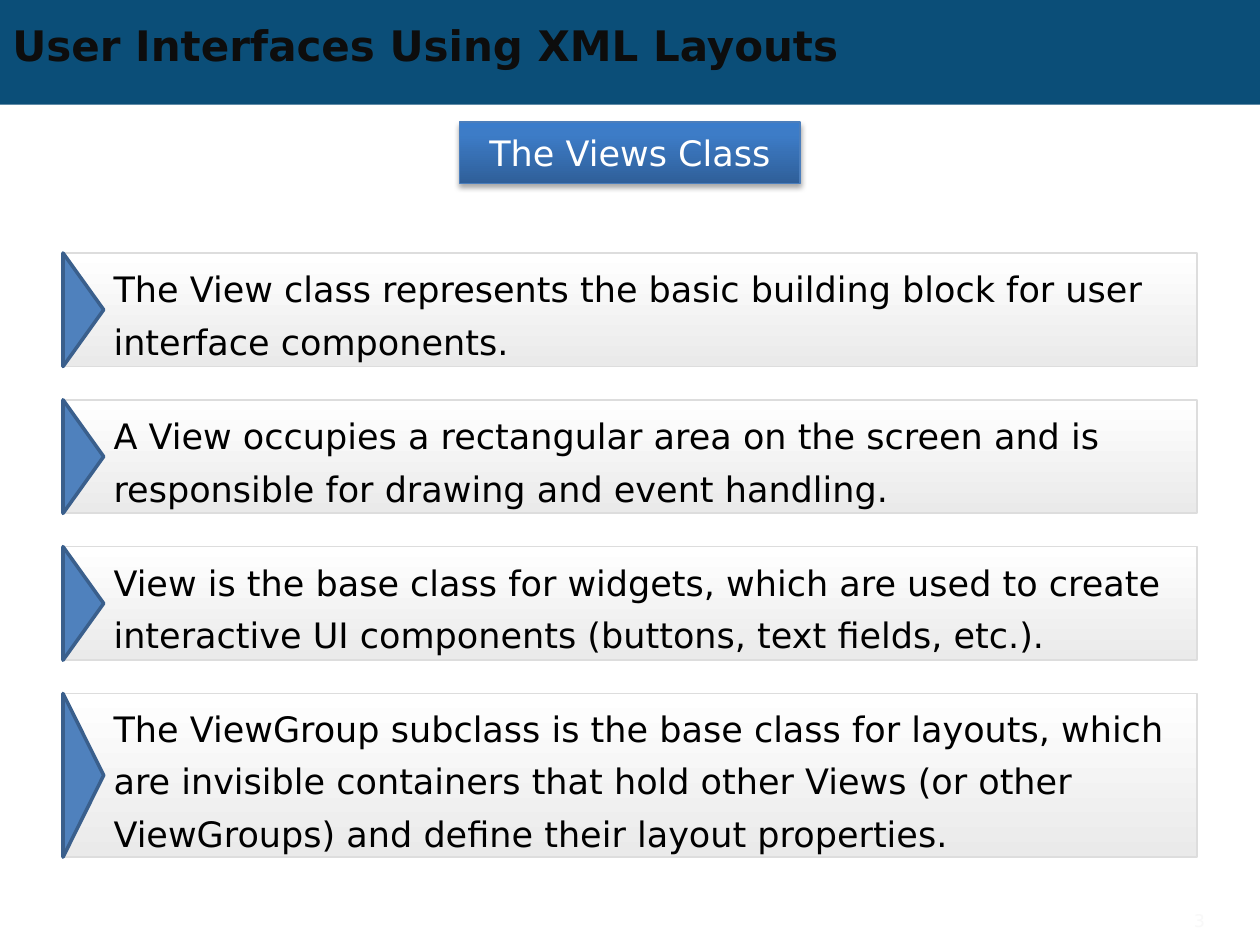
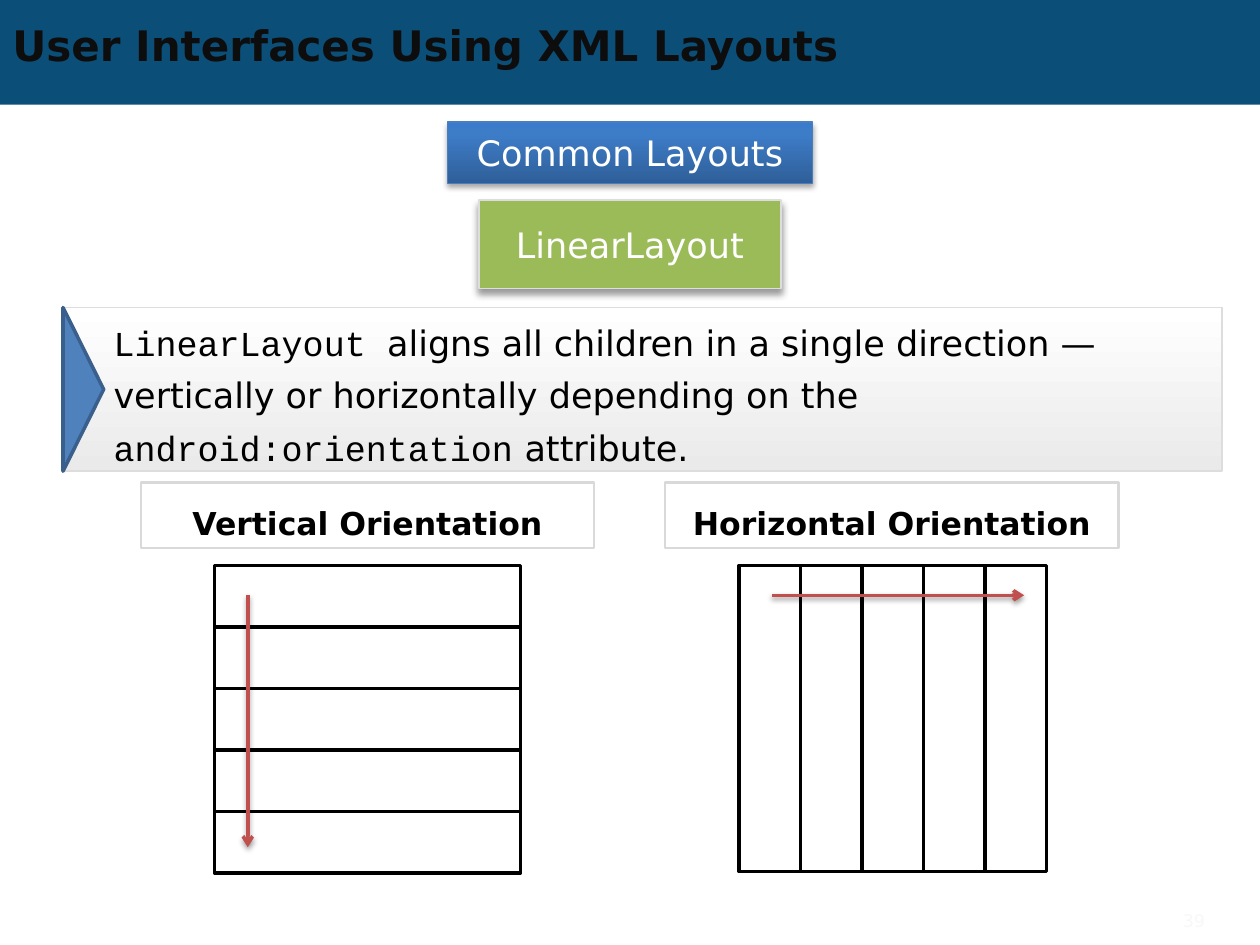
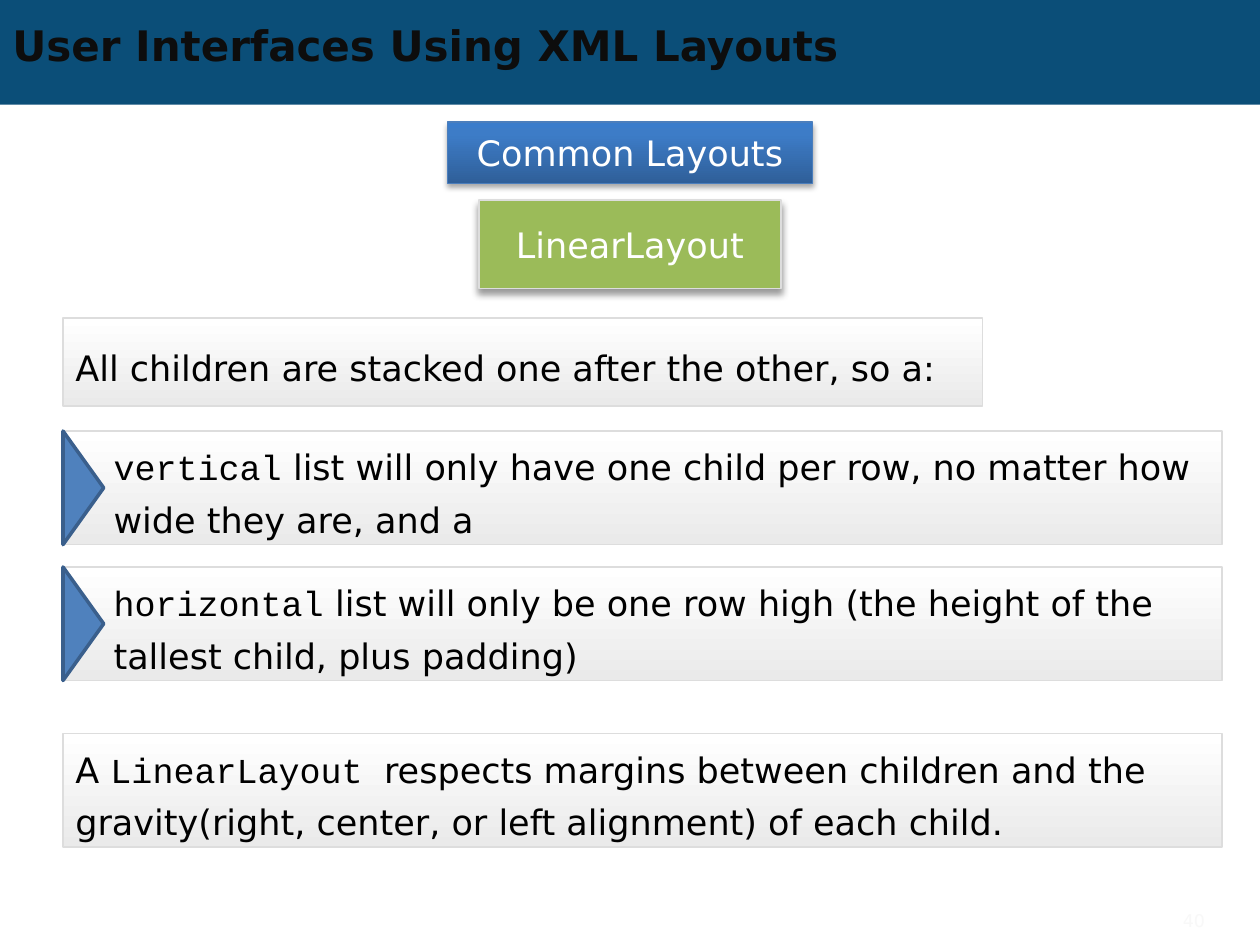
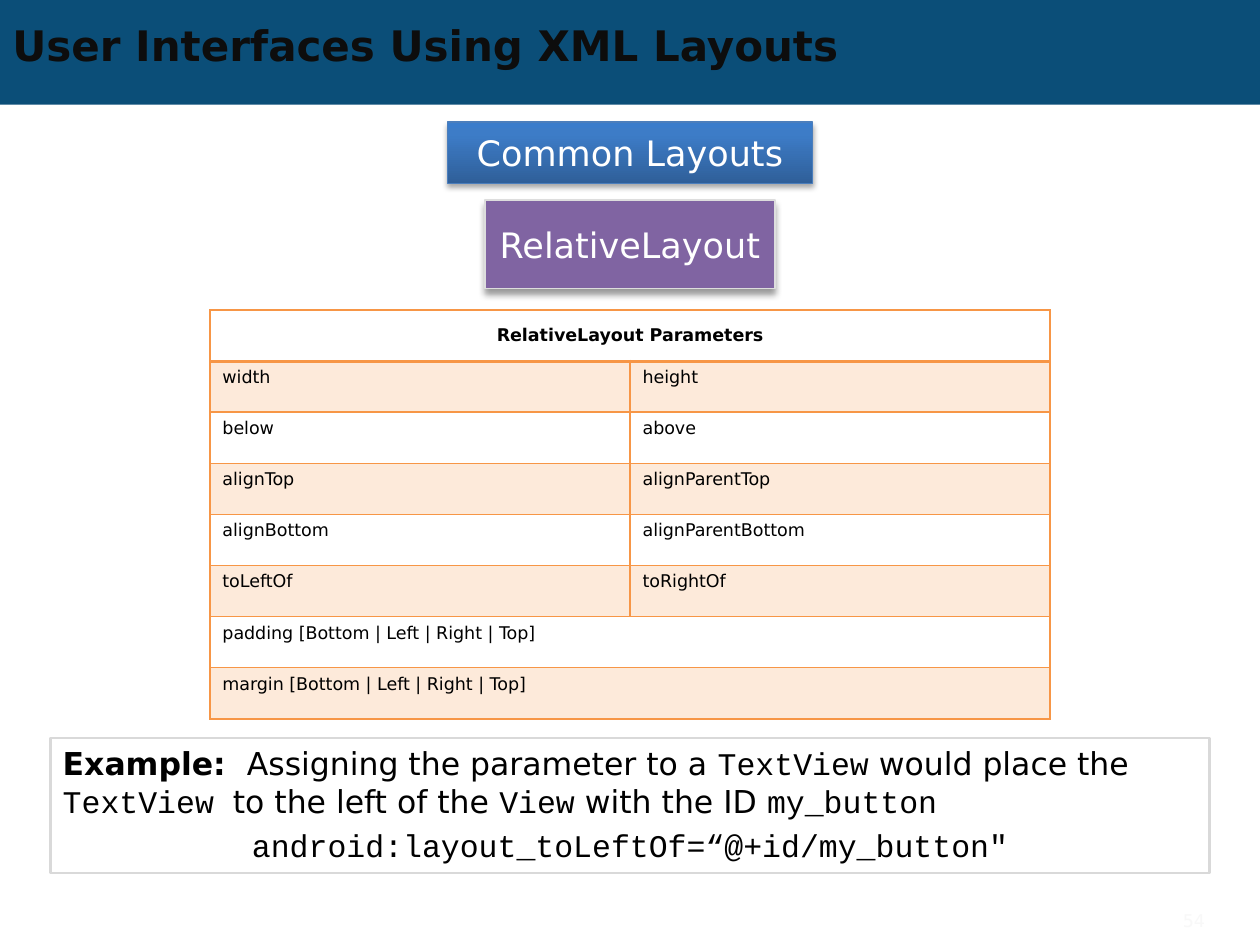
from collections import namedtuple

from lxml.etree import SubElement
from pptx import Presentation
from pptx.dml.color import RGBColor
from pptx.enum.shapes import MSO_CONNECTOR, MSO_SHAPE
from pptx.enum.text import MSO_ANCHOR as ANCHOR, PP_ALIGN as ALIGN
from pptx.oxml.ns import qn
from pptx.util import Cm, Pt

Box = namedtuple("Box", "left top width height")  # all in centimetres
Shadow = namedtuple("Shadow", "opacity blur distance")  # percent, points, points

SANS, MONO = "DejaVu Sans", "Courier New"

BAND_BLUE = RGBColor(0x0B, 0x4E, 0x78)
TITLE_INK = RGBColor(0x0D, 0x0D, 0x0D)
WHITE = RGBColor(0xFF, 0xFF, 0xFF)
BLACK = RGBColor(0, 0, 0)
NUMBER_GREY = RGBColor(0xF8, 0xF8, 0xF8)
BADGE_LIGHT = RGBColor(0x3A, 0x7C, 0xCB)
BADGE_MIDDLE = RGBColor(0x3D, 0x7C, 0xC7)
BADGE_DARK = RGBColor(0x2F, 0x5F, 0x99)
BADGE_EDGE = RGBColor(0x4B, 0x7E, 0xBC)
BAR_BOTTOM = RGBColor(0xEA, 0xEA, 0xEA)
BAR_EDGE = RGBColor(0xDD, 0xDD, 0xDD)
FRAME_GREY = RGBColor(0xD9, 0xD9, 0xD9)
MARKER_FILL = RGBColor(0x4F, 0x81, 0xBD)
MARKER_EDGE = RGBColor(0x3A, 0x5F, 0x8C)
GREEN = RGBColor(0x9B, 0xBB, 0x59)
PURPLE = RGBColor(0x80, 0x64, 0xA2)
RED = RGBColor(0xC0, 0x50, 0x4D)
ORANGE = RGBColor(0xF7, 0x96, 0x46)
PALE_ORANGE = RGBColor(0xFD, 0xEA, 0xDA)

BADGE_STOPS = ((0, BADGE_LIGHT), (20, BADGE_MIDDLE), (100, BADGE_DARK))
BAR_STOPS = ((0, WHITE), (100, BAR_BOTTOM))
BADGE_SHADOW = Shadow(35, 3.1, 1.8)
TOPIC_SHADOW = Shadow(40, 4, 3)
ARROW_SHADOW = Shadow(38, 3.1, 1.6)

SLIDE_WIDTH, SLIDE_HEIGHT = 25.4, 19.05
BAR_LEFT = 1.27
WIDE_BAR = 23.37
TWO_LINES, THREE_LINES = 2.29, 3.3
MARKER_DEPTH = 0.82
MARKER_INDENT = 1.02
STRIPES = 5
PITCH = 1.24
STRIPE_LENGTH = 6.17

BAR_TEXT = {"line_spacing": Pt(30)}
LABEL_TEXT = {"line_spacing": Pt(30), "alignment": ALIGN.CENTER}
CENTERED = {"alignment": ALIGN.CENTER}
ZERO_MARGINS = dict.fromkeys(
    ("margin_left", "margin_right", "margin_top", "margin_bottom"), 0)


def apply(target, formats):
    for name, value in formats.items():
        setattr(target, name, value)


def write(paragraph, runs, size, color=BLACK, formats=None):
    """Fill a paragraph from a string or from (text, font, bold) runs."""
    apply(paragraph, formats or {})
    if isinstance(runs, str):
        runs = [(runs, SANS, False)]
    for text, font_name, bold in runs:
        run = paragraph.add_run()
        run.text = text
        apply(run.font, {"name": font_name, "size": Pt(size), "bold": bold})
        run.font.color.rgb = color


def sans(text):
    return text, SANS, False


def mono(text):
    return text, MONO, False


def bold(text):
    return text, SANS, True


def add_color(parent, color):
    return SubElement(parent, qn("a:srgbClr"), val=str(color))


def fill_gradient(shape, stops):
    """Fill from top to bottom with (percent, colour) stops."""
    shape.fill.gradient()
    shape.fill.gradient_angle = 270
    stop_list = shape.element.spPr.find(qn("a:gradFill")).find(qn("a:gsLst"))
    for stop in list(stop_list):
        stop_list.remove(stop)
    for percent, color in stops:
        add_color(SubElement(stop_list, qn("a:gs"), pos=str(percent * 1000)), color)


def cast_shadow(effects, shadow):
    outer = SubElement(effects, qn("a:outerShdw"), blurRad=str(Pt(shadow.blur)),
                       dist=str(Pt(shadow.distance)), dir="5400000", rotWithShape="0")
    SubElement(add_color(outer, BLACK), qn("a:alpha"), val=str(shadow.opacity * 1000))


def add_block(slide, box, fill=None, edge=None, edge_width=1.0, shadow=None,
              kind=MSO_SHAPE.RECTANGLE):
    """Add a shape whose fill is None, a colour or a tuple of gradient stops."""
    shape = slide.shapes.add_shape(kind, *map(Cm, box))
    if fill is None:
        shape.fill.background()
    elif isinstance(fill, RGBColor):
        shape.fill.solid()
        shape.fill.fore_color.rgb = fill
    else:
        fill_gradient(shape, fill)
    if edge is None:
        shape.line.fill.background()
    else:
        shape.line.color.rgb = edge
        shape.line.width = Pt(edge_width)
    shape.shadow.inherit = False
    if shadow:
        cast_shadow(shape.element.spPr.find(qn("a:effectLst")), shadow)
    return shape


def frame_of(shape, **formats):
    frame = shape.text_frame
    apply(frame, {"word_wrap": True, "vertical_anchor": ANCHOR.MIDDLE, **formats})
    return frame


def centered_box(width, top, height):
    return Box((SLIDE_WIDTH - width) / 2, top, width, height)


def add_badge(slide, text, width):
    badge = add_block(slide, centered_box(width, 2.46, 1.24), BADGE_STOPS,
                      BADGE_EDGE, 0.75, BADGE_SHADOW)
    write(frame_of(badge).paragraphs[0], text, 20, WHITE, CENTERED)


def add_topic(slide, text, width, color):
    topic = add_block(slide, centered_box(width, 4.04, 1.78), color,
                      BAR_EDGE, 1, TOPIC_SHADOW)
    frame = frame_of(topic, **ZERO_MARGINS)
    write(frame.paragraphs[0], text, 20, WHITE, CENTERED)


def add_bar(slide, box, runs):
    bar = add_block(slide, box, BAR_STOPS, BAR_EDGE)
    frame = frame_of(bar)
    write(frame.paragraphs[0], runs, 20, formats={**BAR_TEXT, "alignment": ALIGN.LEFT})
    return frame


def add_marked_bar(slide, box, runs):
    """Add a bar with a triangle pointing inwards from its left side."""
    frame = add_bar(slide, box, runs)
    apply(frame, {**ZERO_MARGINS, "margin_left": Cm(MARKER_INDENT),
                  "margin_right": Cm(0.25)})
    turned = Box(box.left + (MARKER_DEPTH - box.height) / 2,
                 box.top + (box.height - MARKER_DEPTH) / 2, box.height, MARKER_DEPTH)
    marker = add_block(slide, turned, MARKER_FILL, MARKER_EDGE, 2,
                       kind=MSO_SHAPE.ISOSCELES_TRIANGLE)
    marker.rotation = 90


def add_arrow(slide, start, end):
    arrow = slide.shapes.add_connector(MSO_CONNECTOR.STRAIGHT, *map(Cm, start + end))
    arrow.line.color.rgb = RED
    arrow.line.width = Pt(2)
    SubElement(arrow.line._get_or_add_ln(), qn("a:tailEnd"), type="arrow")
    cast_shadow(SubElement(arrow.element.spPr, qn("a:effectLst")), ARROW_SHADOW)


def add_label(slide, box, text):
    label = add_block(slide, box, None, FRAME_GREY, 1.5)
    frame = frame_of(label, vertical_anchor=ANCHOR.TOP)
    write(frame.paragraphs[0], [bold(text)], 18, formats=LABEL_TEXT)


def add_orientation(slide, box, text, stacked):
    """Add a label and below it five stripes, stacked or side by side."""
    add_label(slide, box._replace(height=1.32), text)
    left = box.left + (box.width - STRIPE_LENGTH) / 2
    top = box.top + 1.67
    for index in range(STRIPES):
        if stacked:
            stripe = Box(left, top + index * PITCH, STRIPE_LENGTH, PITCH)
        else:
            stripe = Box(left + index * PITCH, top, PITCH, STRIPE_LENGTH)
        add_block(slide, stripe, WHITE, BLACK, 2)
    start = (left + 0.67, top + 0.6)
    reach = 5.08
    end = (start[0], start[1] + reach) if stacked else (start[0] + reach, start[1])
    return start, end


def border_cell(cell, sides):
    """Draw borders from a dict of side (L, R, T, B) to width in points."""
    properties = cell._tc.get_or_add_tcPr()
    for position, side in enumerate("LRTB"):
        line = SubElement(properties, qn(f"a:ln{side}"), w=str(Pt(sides[side])))
        add_color(SubElement(line, qn("a:solidFill")), ORANGE)
        properties.insert(position, line)


def add_parameter_table(slide, box, heading, rows):
    columns = 2
    table = slide.shapes.add_table(len(rows) + 1, columns, *map(Cm, box)).table
    apply(table, {"first_row": False, "horz_banding": False})
    for row_index, texts in enumerate([(heading,), *rows]):
        table.rows[row_index].height = Cm(box.height / (len(rows) + 1))
        is_heading = row_index == 0
        for column in range(columns):
            cell = table.cell(row_index, column)
            if row_index % 2:
                cell.fill.solid()
                cell.fill.fore_color.rgb = PALE_ORANGE
            else:
                cell.fill.background()
            border_cell(cell, {"L": 1, "R": 1, "T": 2 if row_index == 1 else 1,
                               "B": 2 if is_heading else 1})
        if len(texts) == 1:
            table.cell(row_index, 0).merge(table.cell(row_index, columns - 1))
        for column, text in enumerate(texts):
            cell = table.cell(row_index, column)
            cell.vertical_anchor = ANCHOR.MIDDLE if is_heading else ANCHOR.TOP
            write(cell.text_frame.paragraphs[0], [(text, SANS, is_heading)], 10,
                  formats={"alignment": ALIGN.CENTER if is_heading else ALIGN.LEFT})


def add_example(slide, box, explanation, code):
    example = add_block(slide, box, None, FRAME_GREY, 1.5)
    frame = frame_of(example, vertical_anchor=ANCHOR.TOP)
    spacing = {"space_before": Pt(3.6)}
    write(frame.paragraphs[0], explanation, 18,
          formats={**spacing, "alignment": ALIGN.LEFT})
    write(frame.add_paragraph(), [mono(code)], 18, formats={**spacing, **CENTERED})


def add_text(slide, box, runs, size, color, alignment):
    text_box = slide.shapes.add_textbox(*map(Cm, box))
    write(frame_of(text_box).paragraphs[0], runs, size, color, {"alignment": alignment})


def start_slide(presentation, number, badge, badge_width):
    """Add a slide with the shared band, title, page number and badge."""
    slide = presentation.slides.add_slide(presentation.slide_layouts[6])
    add_block(slide, Box(0, 0, SLIDE_WIDTH, 2.11), BAND_BLUE)
    add_text(slide, Box(0, 0.36, 22.86, 1.09),
             [bold("User Interfaces Using XML Layouts")], 24, TITLE_INK, ALIGN.LEFT)
    add_text(slide, Box(22, 18.05, 2.54, 1), str(number), 10, NUMBER_GREY, ALIGN.RIGHT)
    add_badge(slide, badge, badge_width)
    return slide


def start_layout_slide(presentation, number, topic, topic_width, color):
    slide = start_slide(presentation, number, "Common Layouts", 7.37)
    add_topic(slide, topic, topic_width, color)
    return slide


def build_views_slide(presentation):
    slide = start_slide(presentation, 3, "The Views Class", 6.86)
    statements = (
        ("The View class represents the basic building block for user interface "
         "components.", TWO_LINES),
        ("A View occupies a rectangular area on the screen and is responsible for "
         "drawing and event handling.", TWO_LINES),
        ("View is the base class for widgets, which are used to create interactive "
         "UI components (buttons, text fields, etc.).", TWO_LINES),
        ("The ViewGroup subclass is the base class for layouts, which are invisible "
         "containers that hold other Views (or other ViewGroups) and define their "
         "layout properties.", THREE_LINES),
    )
    top = 5.1
    for text, height in statements:
        add_marked_bar(slide, Box(BAR_LEFT, top, 22.86, height), text)
        top += height + 0.67


def build_orientation_slide(presentation):
    slide = start_layout_slide(presentation, 39, "LinearLayout", 6.1, GREEN)
    add_marked_bar(slide, Box(BAR_LEFT, 6.2, WIDE_BAR, THREE_LINES), [
        mono("LinearLayout "),
        sans("aligns all children in a single direction — vertically or "
             "horizontally depending on the "),
        mono("android:orientation"),
        sans(" attribute."),
    ])
    area = Box(2.84, 9.73, 9.14, 7.84)
    arrows = [
        add_orientation(slide, area, "Vertical Orientation", True),
        add_orientation(slide, area._replace(left=13.41), "Horizontal Orientation", False),
    ]
    for start, end in arrows:
        add_arrow(slide, start, end)


def build_stacking_slide(presentation):
    slide = start_layout_slide(presentation, 40, "LinearLayout", 6.1, GREEN)
    add_bar(slide, Box(BAR_LEFT, 6.41, 18.54, 1.78),
            "All children are stacked one after the other, so a:")
    directions = (
        ("vertical", " list will only have one child per row, no matter how wide "
                     "they are, and a"),
        ("horizontal", " list will only be one row high (the height of the tallest "
                       "child, plus padding)"),
    )
    for index, (direction, effect) in enumerate(directions):
        add_marked_bar(slide, Box(BAR_LEFT, 8.69 + index * 2.74, WIDE_BAR, TWO_LINES),
                       [mono(direction), sans(effect)])
    add_bar(slide, Box(BAR_LEFT, 14.79, WIDE_BAR, TWO_LINES), [
        sans("A "),
        mono("LinearLayout "),
        sans("respects margins between children and the gravity(right, center, or "
             "left alignment) of each child."),
    ])


def build_parameters_slide(presentation):
    slide = start_layout_slide(presentation, 54, "RelativeLayout", 5.84, PURPLE)
    add_parameter_table(slide, centered_box(16.94, 6.25, 8.24),
                        "RelativeLayout Parameters", [
        ("width", "height"),
        ("below", "above"),
        ("alignTop", "alignParentTop"),
        ("alignBottom", "alignParentBottom"),
        ("toLeftOf", "toRightOf"),
        ("padding [Bottom | Left | Right | Top]",),
        ("margin [Bottom | Left | Right | Top]",),
    ])
    add_example(slide, centered_box(WIDE_BAR, 14.88, 2.72), [
        bold("Example: "),
        sans(" Assigning the parameter to a "),
        mono("TextView"),
        sans(" would place the "),
        mono("TextView "),
        sans("to the left of the "),
        mono("View"),
        sans(" with the ID "),
        mono("my_button"),
    ], 'android:layout_toLeftOf=“@+id/my_button"')


def main():
    presentation = Presentation()
    presentation.slide_width = Cm(SLIDE_WIDTH)
    presentation.slide_height = Cm(SLIDE_HEIGHT)
    build_views_slide(presentation)
    build_orientation_slide(presentation)
    build_stacking_slide(presentation)
    build_parameters_slide(presentation)
    presentation.save("out.pptx")


if __name__ == "__main__":
    main()
